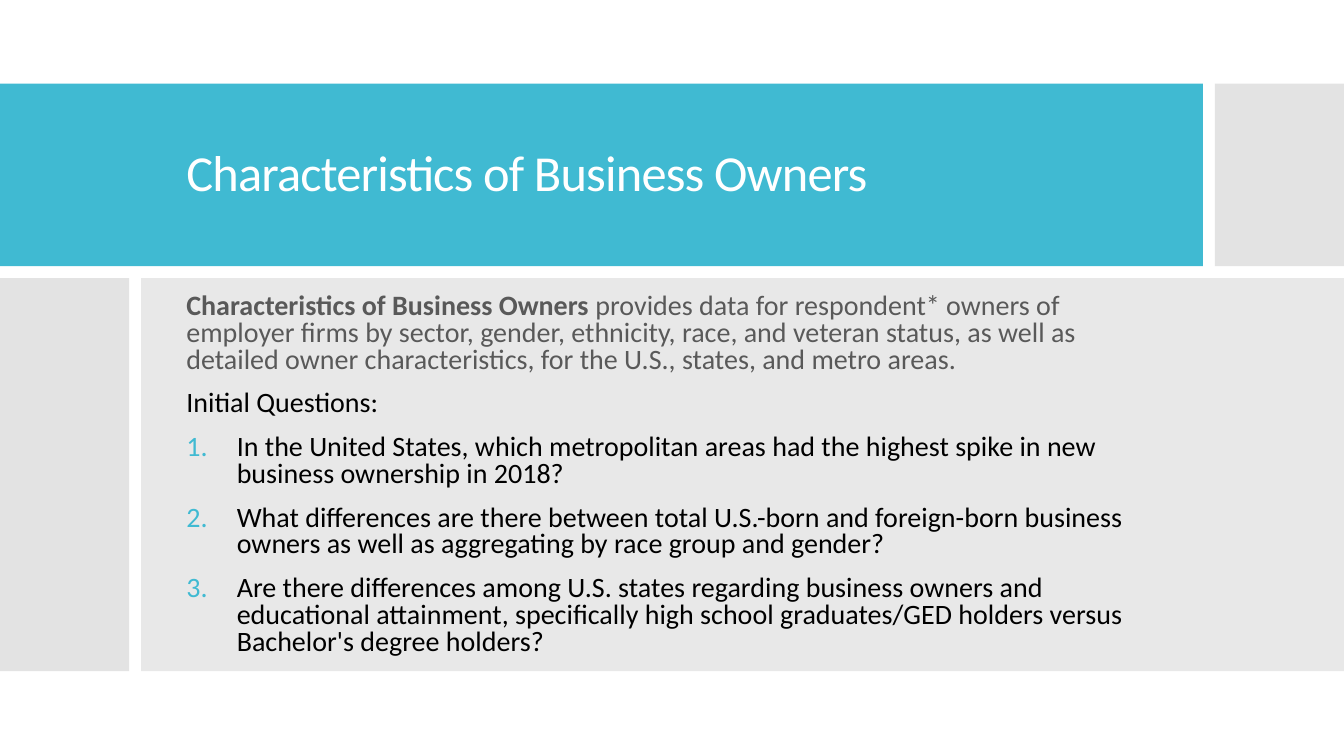
from dataclasses import dataclass

from lxml import etree
from pptx import Presentation
from pptx.dml.color import RGBColor
from pptx.enum.shapes import MSO_SHAPE
from pptx.enum.text import MSO_ANCHOR
from pptx.oxml.ns import qn
from pptx.util import Inches, Pt

RECTANGLE = MSO_SHAPE.RECTANGLE
MIDDLE = MSO_ANCHOR.MIDDLE

FONT = "Calibri"
COLORS = {
    "white": "FFFFFF",
    "teal": "40BAD2",
    "gray": "C8C8C8",
    "light_gray": "D9D9D9",
    "dark_gray": "595959",
    "black": "000000",
}
PAGE_WIDTH, PAGE_HEIGHT = 13.33, 7.5
TEXT_LEFT, TEXT_WIDTH = 1.75, 9.82


@dataclass(frozen=True)
class Panel:
    left: float
    top: float
    width: float
    height: float
    color: str
    opacity: int = 100


@dataclass(frozen=True)
class Span:
    text: str
    size: int
    color: str
    bold: bool = False


@dataclass(frozen=True)
class Line:
    spans: tuple[Span, ...]
    spacing: float
    before: int = 0
    numbered: bool = False


PANELS = (
    Panel(0, 0.83, 11.93, 1.81, "teal"),
    Panel(12.05, 0.83, PAGE_WIDTH - 12.05, 1.81, "gray", 50),
    Panel(0, 2.76, 1.28, 3.9, "gray", 50),
    Panel(1.4, 2.76, PAGE_WIDTH - 1.4, 3.9, "light_gray", 60),
)
TITLE = Line((Span("Characteristics of Business Owners", 36, "white"),), 0.9)
INTRODUCTION = (
    Span("Characteristics of Business Owners ", 20, "dark_gray", True),
    Span(
        "provides data for respondent* owners of employer firms by sector, gender, "
        "ethnicity, race, and veteran status, as well as detailed owner "
        "characteristics, for the U.S., states, and metro areas.",
        20,
        "dark_gray",
    ),
)
QUESTIONS = (
    "In the United States, which metropolitan areas had the highest spike in new "
    "business ownership in 2018?",
    "What differences are there between total U.S.-born and foreign-born business "
    "owners as well as aggregating by race group and gender?",
    "Are there differences among U.S. states regarding business owners and "
    "educational attainment, specifically high school graduates/GED holders versus "
    "Bachelor's degree holders?",
)
BODY = (
    Line(INTRODUCTION, 0.8, 12),
    Line((Span("Initial Questions:", 20, "black"),), 0.8, 12),
    *(Line((Span(text, 20, "black"),), 0.8, 12, True) for text in QUESTIONS),
)


def rgb(name: str) -> RGBColor:
    return RGBColor.from_string(COLORS[name])


def add_panel(page, panel: Panel) -> None:
    shape = page.shapes.add_shape(
        RECTANGLE,
        *(Inches(v) for v in (panel.left, panel.top, panel.width, panel.height)),
    )
    shape.shadow.inherit = False
    shape.line.fill.background()
    shape.fill.solid()
    shape.fill.fore_color.rgb = rgb(panel.color)
    if panel.opacity < 100:
        color = shape.fill._xPr.find(".//" + qn("a:srgbClr"))
        etree.SubElement(color, qn("a:alpha"), val=str(panel.opacity * 1000))


def add_number(para) -> None:
    properties = para._p.get_or_add_pPr()
    properties.set("marL", str(Inches(0.5)))
    properties.set("indent", str(-Inches(0.5)))
    bullet_color = etree.SubElement(properties, qn("a:buClr"))
    etree.SubElement(bullet_color, qn("a:srgbClr"), val=COLORS["teal"])
    etree.SubElement(properties, qn("a:buFont"), typeface="+mj-lt")
    etree.SubElement(properties, qn("a:buAutoNum"), type="arabicPeriod")


def add_text(page, top: float, height: float, lines: tuple[Line, ...], tracking: int = 0) -> None:
    box = page.shapes.add_textbox(
        Inches(TEXT_LEFT), Inches(top), Inches(TEXT_WIDTH), Inches(height)
    )
    frame = box.text_frame
    frame.word_wrap = True
    frame.vertical_anchor = MIDDLE
    for index, line in enumerate(lines):
        para = frame.add_paragraph() if index else frame.paragraphs[0]
        para.line_spacing = line.spacing
        para.space_before = Pt(line.before)
        if line.numbered:
            add_number(para)
        for span in line.spans:
            run = para.add_run()
            run.text = span.text
            run.font.name = FONT
            run.font.size = Pt(span.size)
            run.font.bold = span.bold
            run.font.color.rgb = rgb(span.color)
            if tracking:
                run.font._element.set("spc", str(tracking))


def main() -> None:
    deck = Presentation()
    deck.slide_width = Inches(PAGE_WIDTH)
    deck.slide_height = Inches(PAGE_HEIGHT)
    page = deck.slides.add_slide(deck.slide_layouts[6])
    page.background.fill.solid()
    page.background.fill.fore_color.rgb = rgb("white")

    # Colour bands
    for panel in PANELS:
        add_panel(page, panel)

    # Title and body text
    add_text(page, 1.19, 1.09, (TITLE,), tracking=-60)
    add_text(page, 2.77, 3.89, BODY)

    deck.save("out.pptx")


if __name__ == "__main__":
    main()
